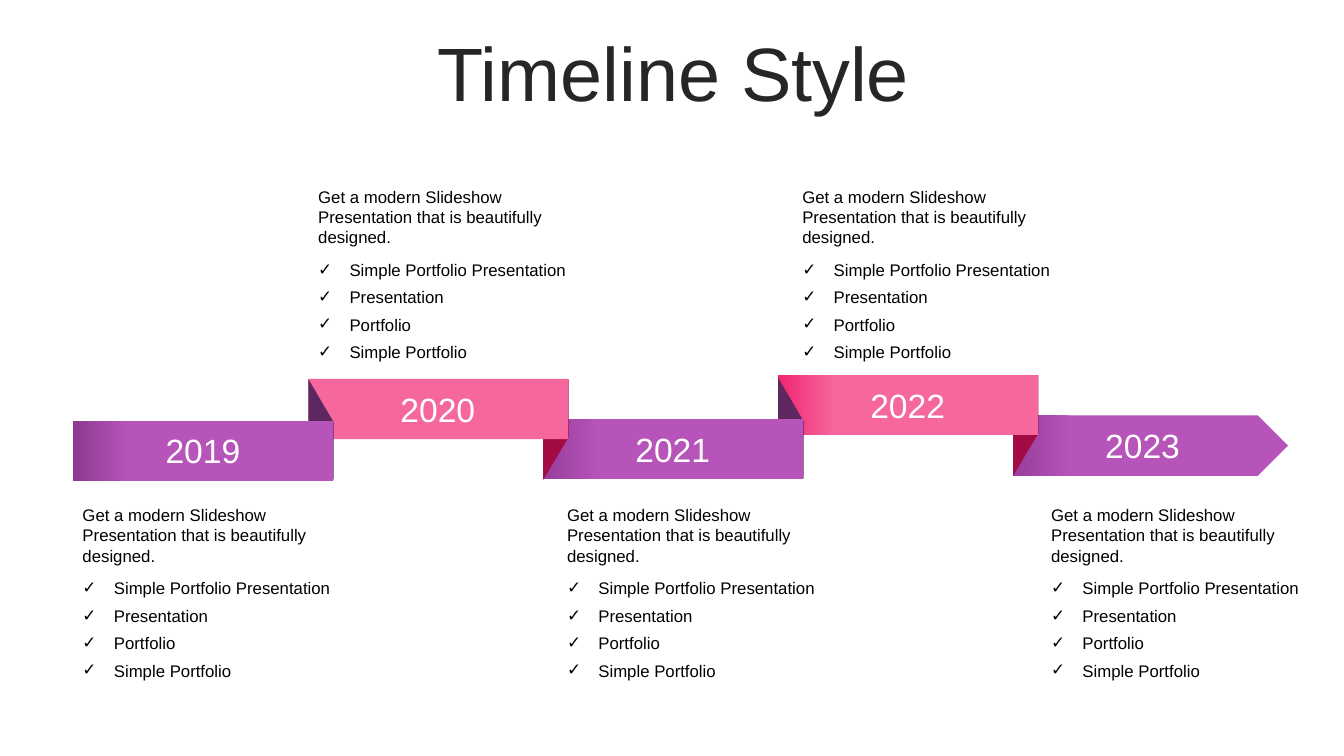
"""Build a five-year ribbon timeline slide."""
from lxml import etree
from pptx import Presentation
from pptx import util as u
from pptx.dml.color import RGBColor
from pptx.enum import shapes, text
from pptx.oxml.ns import qn

WHITE = RGBColor(0xFF, 0xFF, 0xFF)
BLACK = RGBColor(0x00, 0x00, 0x00)
CHARCOAL = RGBColor(0x26, 0x26, 0x26)
ORCHID = RGBColor(0xB7, 0x54, 0xBA)
ORCHID_SHADE = RGBColor(0x97, 0x3E, 0x9A)
PLUM_SHADE = RGBColor(0x8E, 0x3A, 0x90)
PINK = RGBColor(0xF5, 0x67, 0x9D)
PINK_SHADE = RGBColor(0xF1, 0x26, 0x73)
CRIMSON = RGBColor(0xA3, 0x0B, 0x45)
AUBERGINE = RGBColor(0x5F, 0x27, 0x60)

BANNER_LEFT, BANNER_STEP = 1.85, 5.92
BANNER_WIDTH, BANNER_HEIGHT = 6.55, 1.52
ARROW_WIDTH = COLUMN_WIDTH = 6.93
FOLD_WIDTH = 0.64
UPPER, LOWER = 4.57, 12.6
INTRO = "Get a modern Slideshow Presentation that is beautifully designed."
ITEMS = ["Simple Portfolio Presentation", "Presentation", "Portfolio", "Simple Portfolio"]

# year, banner top, light, shade, fold top, fold colour, column left, column top
STEPS = [
    ("2019", 10.6, ORCHID, PLUM_SHADE, None, None, 1.83, LOWER),
    ("2020", 9.55, PINK, None, 9.55, AUBERGINE, 7.77, UPPER),
    ("2021", 10.56, ORCHID, ORCHID_SHADE, 9.55, CRIMSON, 14.04, LOWER),
    ("2022", 9.45, PINK, PINK_SHADE, 9.52, AUBERGINE, 19.97, UPPER),
    ("2023", 10.47, ORCHID, ORCHID_SHADE, 9.45, CRIMSON, 26.24, LOWER),
]

deck = Presentation()
deck.slide_width, deck.slide_height = u.Cm(33.87), u.Cm(19.05)
page = deck.slides.add_slide(deck.slide_layouts[6])


def add_text(words, left, top, width, height, size=12, color=BLACK,
             align=text.PP_ALIGN.LEFT, anchor=text.MSO_ANCHOR.TOP,
             fit=text.MSO_AUTO_SIZE.SHAPE_TO_FIT_TEXT, spacing=None, before=None, bullet=None):
    box = page.shapes.add_textbox(u.Cm(left), u.Cm(top), u.Cm(width), u.Cm(height))
    frame = box.text_frame
    frame.word_wrap = True
    frame.auto_size = fit
    frame.vertical_anchor = anchor
    para = frame.paragraphs[0]
    para.alignment = align
    para.line_spacing = spacing
    para.space_before = before
    span = para.add_run()
    span.text = words
    span.font.name = "Arial"
    span.font.size = u.Pt(size)
    span.font.color.rgb = color
    if bullet:
        properties = para._p.get_or_add_pPr()
        properties.set("marL", str(u.Cm(0.79)))
        properties.set("indent", str(-u.Cm(0.79)))
        etree.SubElement(properties, qn("a:buFont")).set("typeface", "Arial")
        etree.SubElement(properties, qn("a:buChar")).set("char", bullet)


add_text("Timeline Style", 0.89, 0.94, 32.16, 2.01, size=54, color=CHARCOAL,
         align=text.PP_ALIGN.CENTER, anchor=text.MSO_ANCHOR.MIDDLE,
         fit=text.MSO_AUTO_SIZE.NONE, spacing=0.9, before=u.Pt(10))

for index, (year, top, light, shade, fold_top, fold_color, _, _) in reversed(list(enumerate(STEPS))):
    left = BANNER_LEFT + index * BANNER_STEP
    is_last = index == len(STEPS) - 1
    kind = shapes.MSO_SHAPE.PENTAGON if is_last else shapes.MSO_SHAPE.RECTANGLE
    width = ARROW_WIDTH if is_last else BANNER_WIDTH
    banner = page.shapes.add_shape(kind, u.Cm(left), u.Cm(top), u.Cm(width), u.Cm(BANNER_HEIGHT))
    banner.shadow.inherit = False
    banner.line.fill.background()
    if shade:
        banner.fill.gradient()
        banner.fill.gradient_angle = 180
        for stop, position, color in zip(banner.fill.gradient_stops, (0.78, 1), (light, shade)):
            stop.position = position
            stop.color.rgb = color
    else:
        banner.fill.solid()
        banner.fill.fore_color.rgb = light

    if fold_color:
        near, far = left, left + FOLD_WIDTH
        if fold_color == CRIMSON:
            near, far = far, near
        outline = [(near, 0), (near, 1.47), (far, 2.54), (far, 1.09)]
        points = [(u.Cm(x), u.Cm(fold_top + drop)) for x, drop in outline]
        builder = page.shapes.build_freeform(*points[0])
        builder.add_line_segments(points[1:], close=True)
        fold = builder.convert_to_shape()
        fold.shadow.inherit = False
        fold.line.fill.background()
        fold.fill.solid()
        fold.fill.fore_color.rgb = fold_color

for index, (year, top, _, _, _, _, column, column_top) in enumerate(STEPS):
    add_text(year, BANNER_LEFT + index * BANNER_STEP + 1.88, top + 0.12, 2.77, 1.27,
             size=24, color=WHITE, align=text.PP_ALIGN.CENTER)
    for row, item in enumerate(ITEMS):
        add_text(item, column, column_top + 1.94 + row * 0.69, COLUMN_WIDTH, 0.66,
                 anchor=text.MSO_ANCHOR.MIDDLE, spacing=0.8, bullet="✓")
    add_text(INTRO, column, column_top, COLUMN_WIDTH, 1.8)

deck.save("out.pptx")
